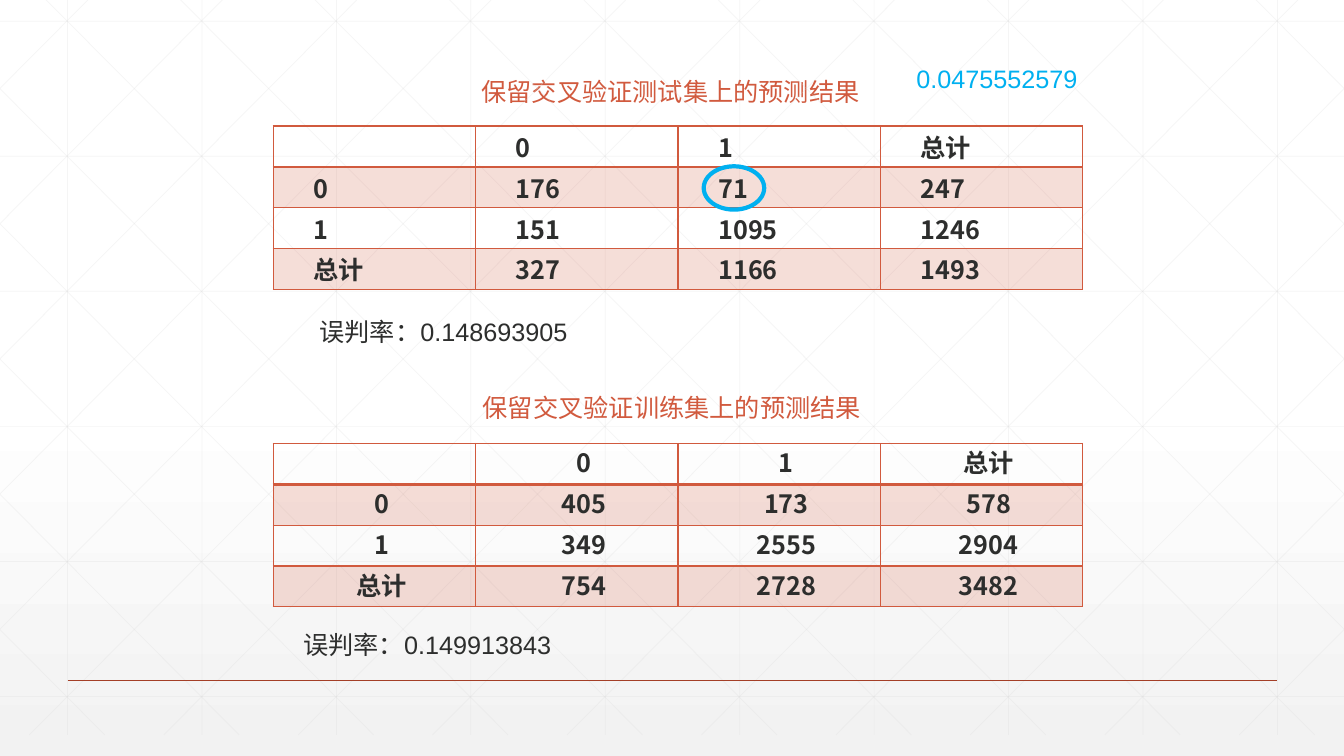
import pptx
import pptx.util
import pptx.dml.color
import pptx.enum.shapes
import pptx.enum.text
import pptx.oxml
import pptx.oxml.ns
import lxml.etree

Inches = pptx.util.Inches
Pt = pptx.util.Pt
RGBColor = pptx.dml.color.RGBColor
ALIGN = pptx.enum.text.PP_ALIGN
ANCHOR = pptx.enum.text.MSO_ANCHOR
SHAPE = pptx.enum.shapes.MSO_SHAPE
qn = pptx.oxml.ns.qn

RUST = RGBColor(0xD1, 0x5A, 0x3E)
BROWN = RGBColor(0xA4, 0x3F, 0x27)
INK = RGBColor(0x2D, 0x2E, 0x2D)
BLUE = RGBColor(0x00, 0xB0, 0xF0)
GRAY = RGBColor(0xD9, 0xD9, 0xD9)
WHITE = RGBColor(0xFF, 0xFF, 0xFF)
PALE = RGBColor(0xF2, 0xF2, 0xF2)
CJK = "Noto Sans CJK SC"
WIDE = 13.33
LOW = 7.29


def write(para, text, font, color, bold=False):
    run = para.add_run()
    run.text = text
    run.font.size = Pt(18)
    run.font.name = font
    run.font.bold = bold
    run.font.color.rgb = color
    east = lxml.etree.SubElement(run.font._element, qn("a:ea"))
    east.set("typeface", CJK)


def fade(node, share):
    for color in node.iter(qn("a:srgbClr")):
        lxml.etree.SubElement(color, qn("a:alpha")).set("val", str(share * 1000))


deck = pptx.Presentation()
deck.slide_width = Inches(WIDE)
deck.slide_height = Inches(7.5)
slide = deck.slides.add_slide(deck.slide_layouts[5])
shapes = slide.shapes

back = slide.background.fill
back.gradient()
back.gradient_angle = 270
for stop, place, color in zip(back.gradient_stops, (0.53, 1), (WHITE, PALE)):
    stop.position = place
    stop.color.rgb = color

lines = []
for col in range(10):
    x = 0.67 + col * 4 / 3
    lines.append((x, 0, x, LOW, GRAY, 0.5))
for row in range(6):
    y = 0.21 + row * 1.34
    lines.append((0, y, WIDE, y, GRAY, 0.5))
slope = 7.455 / 7.5
for step in range(-5, 10):
    start = 0.25 + 0.21 * slope + step * 4 / 3
    top = max(0, -start / slope)
    end = min(LOW, (WIDE - start) / slope)
    left, right = start + top * slope, start + end * slope
    lines.append((left, top, right, end, GRAY, 0.5))
    lines.append((WIDE - left, top, WIDE - right, end, GRAY, 0.5))
lines.append((0.67, 6.75, 12.67, 6.75, BROWN, 1))

for x1, y1, x2, y2, color, width in lines:
    line = shapes.add_connector(
        pptx.enum.shapes.MSO_CONNECTOR.STRAIGHT,
        Inches(x1), Inches(y1), Inches(x2), Inches(y2))
    line.line.color.rgb = color
    line.line.width = Pt(width)
    if color == GRAY:
        fade(line._element, 25)
    lxml.etree.SubElement(line._element.spPr, qn("a:effectLst"))

test = [
    ["", "0", "1", "总计"],
    ["0", "176", "71", "247"],
    ["1", "151", "1095", "1246"],
    ["总计", "327", "1166", "1493"],
]
train = [
    ["", "0", "1", "总计"],
    ["0", "405", "173", "578"],
    ["1", "349", "2555", "2904"],
    ["总计", "754", "2728", "3482"],
]
grids = [
    (test, 1.25, ALIGN.LEFT, 0.33, ANCHOR.MIDDLE),
    (train, 4.4, ALIGN.CENTER, 0.14, ANCHOR.TOP),
]
for data, top, align, indent, anchor in grids:
    frame = shapes.add_table(4, 4, Inches(2.71), Inches(top), Inches(8.03), Inches(1.62))
    table = frame.table
    table.first_row = False
    table.horz_banding = False
    for r, values in enumerate(data):
        for c, value in enumerate(values):
            cell = table.cell(r, c)
            cell.margin_left = cell.margin_right = Inches(0.07)
            cell.margin_top = cell.margin_bottom = 0
            cell.vertical_anchor = anchor
            para = cell.text_frame.paragraphs[0]
            para.alignment = align
            para._p.get_or_add_pPr().set("indent", str(Inches(indent)))
            if value:
                write(para, value, CJK, INK, True)
            props = cell._tc.get_or_add_tcPr()
            if r % 2:
                cell.fill.solid()
                cell.fill.fore_color.rgb = RUST
                fade(props, 20)
            else:
                cell.fill.background()
            for i, side in enumerate("LRTB"):
                thick = (r, side) in ((0, "B"), (1, "T"))
                edge = pptx.oxml.parse_xml(
                    f'<a:ln{side} {pptx.oxml.ns.nsdecls("a")} w="{Pt(2 if thick else 1)}">'
                    f'<a:solidFill><a:srgbClr val="{RUST}"/></a:solidFill></a:ln{side}>')
                props.insert(i, edge)

title = shapes.title
labels = [
    (title, "保留交叉验证测试集上的预测结果", 3.07, 0.71, 7.16, RUST, ALIGN.CENTER),
    (None, "保留交叉验证训练集上的预测结果", 4.69, 3.84, 4.07, RUST, ALIGN.LEFT),
    (None, "误判率：0.148693905", 3.07, 3.09, 2.66, INK, ALIGN.LEFT),
    (None, "误判率：0.149913843", 2.91, 6.19, 3.83, INK, ALIGN.LEFT),
    (None, "0.0475552579", 8.99, 0.58, 2.24, BLUE, ALIGN.LEFT),
]
for box, text, left, top, width, color, align in labels:
    box = box or shapes.add_textbox(0, 0, 0, 0)
    box.left, box.top = Inches(left), Inches(top)
    box.width, box.height = Inches(width), Inches(0.4)
    body = box.text_frame
    body.word_wrap = True
    body.auto_size = pptx.enum.text.MSO_AUTO_SIZE.SHAPE_TO_FIT_TEXT
    body.vertical_anchor = ANCHOR.TOP
    para = body.paragraphs[0]
    para.alignment = align
    write(para, text, "Arial", color)

ring = shapes.add_shape(
    SHAPE.FLOWCHART_CONNECTOR, Inches(6.98), Inches(1.65), Inches(0.6), Inches(0.43))
ring.shadow.inherit = False
ring.fill.background()
ring.line.color.rgb = BLUE
ring.line.width = Pt(3)

deck.save("out.pptx")
